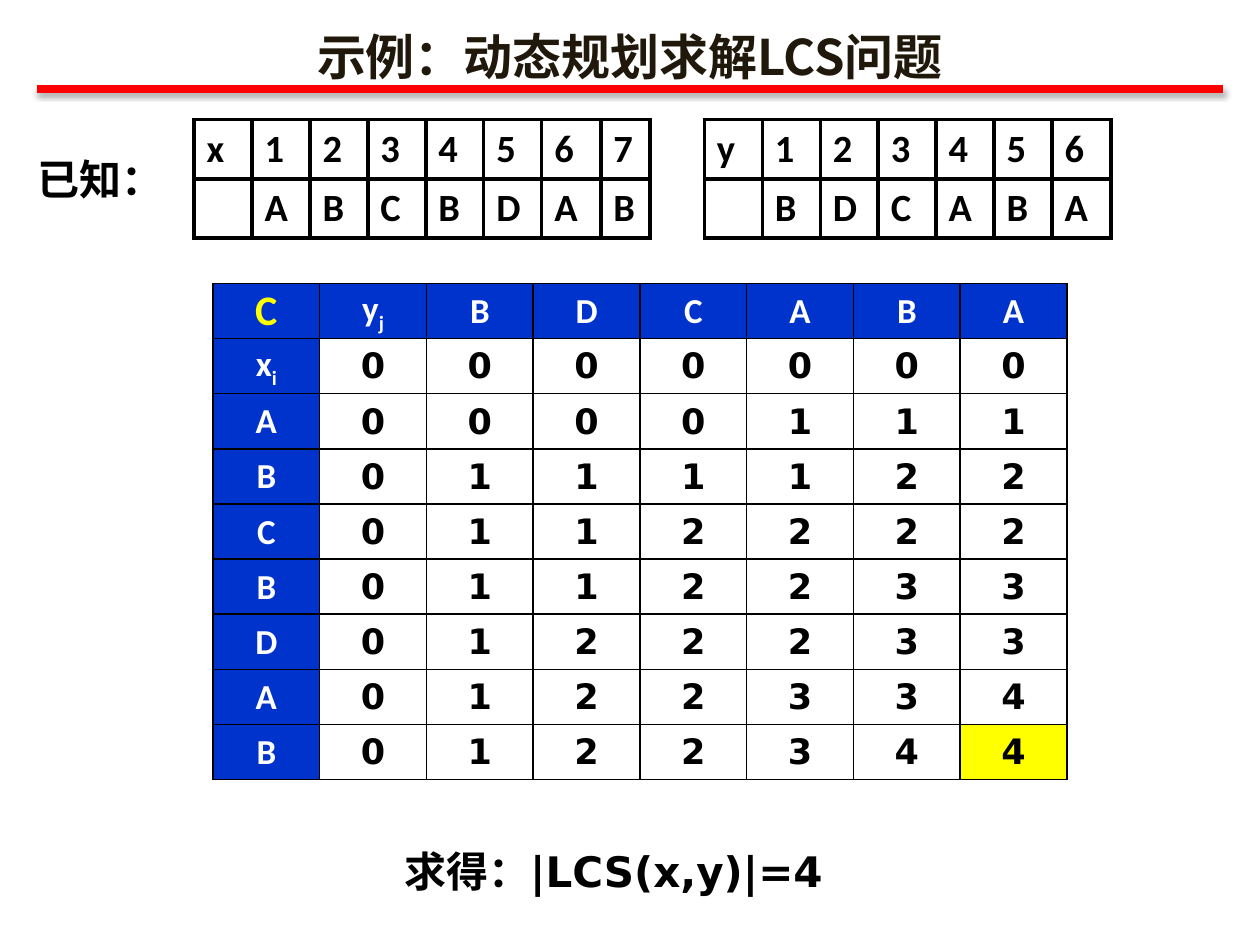
import pptx
import pptx.dml.color
import pptx.enum.shapes
import pptx.enum.text
import pptx.oxml
import pptx.oxml.ns
import pptx.util
from lxml import etree
from pptx.dml.color import RGBColor
from pptx.util import Inches

BLACK = RGBColor(0x00, 0x00, 0x00)
WHITE = RGBColor(0xFF, 0xFF, 0xFF)
RED = RGBColor(0xFF, 0x00, 0x00)
BLUE = RGBColor(0x00, 0x33, 0xCC)
YELLOW = RGBColor(0xFF, 0xFF, 0x00)
TITLE_BROWN = RGBColor(0x20, 0x19, 0x0B)

CALIBRI = "Calibri"
DEJAVU = "DejaVu Sans"
NOTO = "Noto Sans CJK SC"

X_SEQUENCE = "ABCBDAB"
Y_SEQUENCE = "BDCABA"

CENTER = pptx.enum.text.PP_ALIGN.CENTER
LEFT = pptx.enum.text.PP_ALIGN.LEFT
MIDDLE = pptx.enum.text.MSO_ANCHOR.MIDDLE


def add_element(parent, tag, **attributes):
    return etree.SubElement(parent, pptx.oxml.ns.qn(tag), attributes)


def format_run(run, size, font_name, color):
    run.font.size = pptx.util.Pt(size)
    run.font.name = font_name
    run.font.bold = True
    run.font.color.rgb = color
    add_element(run.font._element, "a:ea", typeface=NOTO)


def add_label(slide, box, text, size, font_name, color, alignment=LEFT):
    shape = slide.shapes.add_textbox(*box)
    text_frame = shape.text_frame
    text_frame.word_wrap = True
    text_frame.vertical_anchor = MIDDLE
    text_frame.text = text
    paragraph = text_frame.paragraphs[0]
    paragraph.alignment = alignment
    format_run(paragraph.runs[0], size, font_name, color)


def add_title(slide, left, top, width, height):
    line_top = top + Inches(0.61)
    margin = Inches(0.29)
    connector = slide.shapes.add_connector(
        pptx.enum.shapes.MSO_CONNECTOR.STRAIGHT,
        left + margin, line_top, left + width - margin, line_top)
    connector.line.color.rgb = RED
    connector.line.width = pptx.util.Pt(4.5)
    effects = add_element(connector._element.spPr, "a:effectLst")
    shadow = add_element(effects, "a:outerShdw", blurRad="39370", dist="22860",
                         dir="5400000", rotWithShape="0")
    shadow_color = add_element(shadow, "a:srgbClr", val="000000")
    add_element(shadow_color, "a:alpha", val="35000")
    add_label(slide, (left, top, width, height), "示例：动态规划求解LCS问题",
              28, NOTO, TITLE_BROWN, CENTER)


def add_grid(slide, left, top, column_widths, row_heights):
    table = slide.shapes.add_table(
        len(row_heights), len(column_widths), left, top,
        sum(column_widths), sum(row_heights)).table
    table.first_row = False
    table.horz_banding = False
    for column, width in zip(table.columns, column_widths):
        column.width = width
    for row, height in zip(table.rows, row_heights):
        row.height = height
    return table


def fill_cell(cell, text, size, font_name, color, border, fill=None, alignment=LEFT):
    properties = cell._tc.get_or_add_tcPr()
    for side in ("a:lnL", "a:lnR", "a:lnT", "a:lnB"):
        line = add_element(properties, side, w=str(pptx.util.Pt(border)))
        solid = add_element(line, "a:solidFill")
        add_element(solid, "a:srgbClr", val=str(BLACK))
    if fill is None:
        cell.fill.background()
    else:
        cell.fill.solid()
        cell.fill.fore_color.rgb = fill
    cell.vertical_anchor = MIDDLE
    cell.text_frame.text = text[:1]
    paragraph = cell.text_frame.paragraphs[0]
    paragraph.alignment = alignment
    if len(text) > 1:
        paragraph.add_run().text = text[1:]
    for run in paragraph.runs:
        format_run(run, size, font_name, color)
    for run in paragraph.runs[1:]:
        run.font._element.set("baseline", "-25000")


def add_sequence(slide, left, top, name, sequence, column_widths):
    table = add_grid(slide, left, top, column_widths, [Inches(0.47)] * 2)
    indices = [str(index + 1) for index in range(len(sequence))]
    for row, texts in enumerate(([name, *indices], ["", *sequence])):
        for column, text in enumerate(texts):
            fill_cell(table.cell(row, column), text, 22, CALIBRI, BLACK, 2.25)


def lcs_lengths(x, y):
    lengths = [[0] * (len(y) + 1) for _ in range(len(x) + 1)]
    for i, x_letter in enumerate(x, 1):
        for j, y_letter in enumerate(y, 1):
            if x_letter == y_letter:
                lengths[i][j] = lengths[i - 1][j - 1] + 1
            else:
                lengths[i][j] = max(lengths[i - 1][j], lengths[i][j - 1])
    return lengths


def add_length_table(slide, left, top, width, height):
    lengths = lcs_lengths(X_SEQUENCE, Y_SEQUENCE)
    rows = [["C", "yj", *Y_SEQUENCE]]
    for label, values in zip(["xi", *X_SEQUENCE], lengths):
        rows.append([label, *map(str, values)])
    row_count, column_count = len(rows), len(rows[0])
    table = add_grid(slide, left, top, [width // column_count] * column_count,
                     [height // row_count] * row_count)
    for row, texts in enumerate(rows):
        for column, text in enumerate(texts):
            size, font_name, color, fill = 20, DEJAVU, BLACK, None
            if row == 0 or column == 0:
                font_name, color, fill = CALIBRI, WHITE, BLUE
            if row == 0 and column == 0:
                size, color = 24, YELLOW
            if (row, column) == (row_count - 1, column_count - 1):
                fill = YELLOW
            cell = table.cell(row, column)
            cell.margin_left = cell.margin_right = cell.margin_top = Inches(0.01)
            cell.margin_bottom = 0
            fill_cell(cell, text, size, font_name, color, 1, fill, CENTER)


def add_given(slide, left, top):
    add_label(slide, (left, top + Inches(0.22), Inches(1.1), Inches(0.5)),
              "已知：", 24, NOTO, BLACK)
    column = Inches(0.46)
    add_sequence(slide, left + Inches(1.34), top, "x", X_SEQUENCE,
                 [column] * 6 + [Inches(0.47), Inches(0.39)])
    add_sequence(slide, left + Inches(5.39), top, "y", Y_SEQUENCE,
                 [column] * 6 + [Inches(0.47)])


def main():
    presentation = pptx.Presentation()
    presentation.slide_width = Inches(10)
    presentation.slide_height = Inches(7.5)
    slide = presentation.slides.add_slide(presentation.slide_layouts[6])
    add_title(slide, 0, Inches(0.1), Inches(10), Inches(0.68))
    add_given(slide, Inches(0.2), Inches(0.95))
    add_length_table(slide, Inches(1.69), Inches(2.25), Inches(6.78), Inches(3.94))
    add_label(slide, (Inches(3.11), Inches(6.66), Inches(4.09), Inches(0.5)),
              "求得：|LCS(x,y)|=4", 24, DEJAVU, BLACK)
    presentation.save("out.pptx")


if __name__ == "__main__":
    main()
